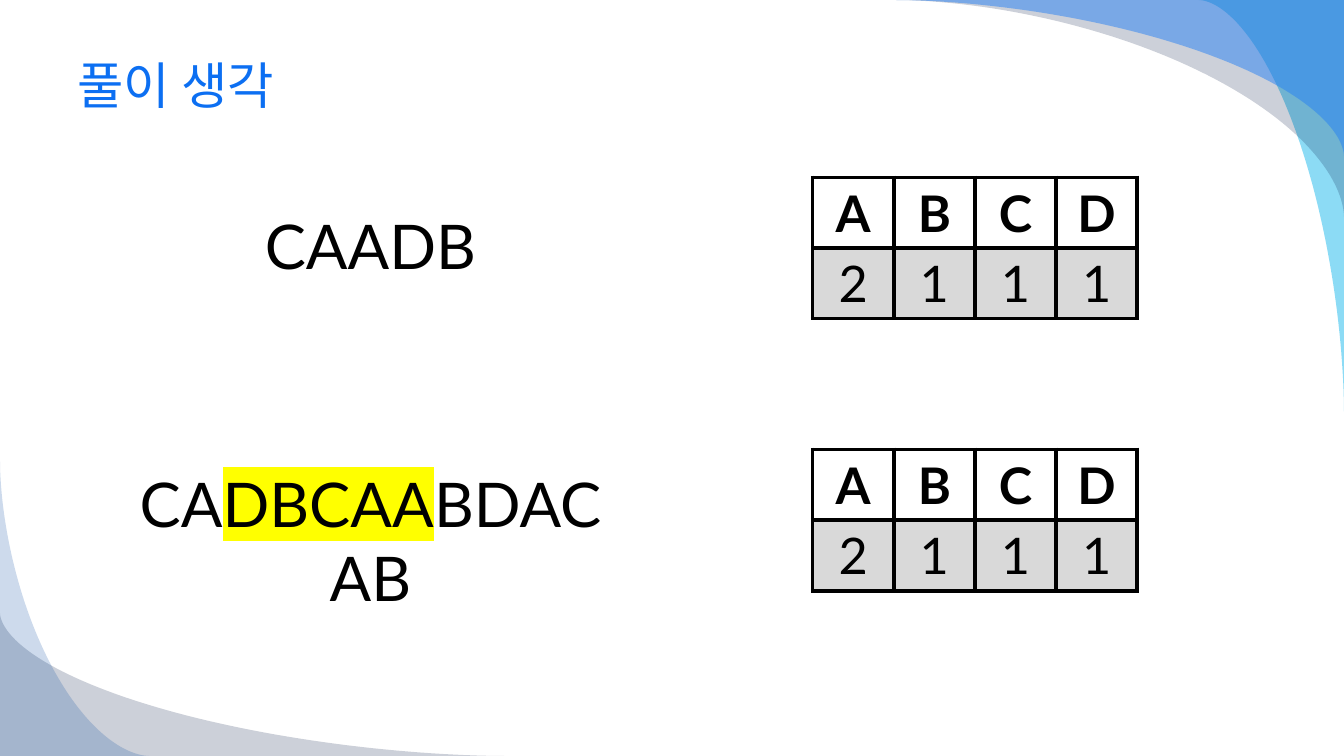
import math

import lxml.etree
import pptx
import pptx.dml.color
import pptx.enum.text
import pptx.oxml.ns
import pptx.util

Inches, Pt = pptx.util.Inches, pptx.util.Pt
ANCHOR = pptx.enum.text.MSO_ANCHOR
ALIGN = pptx.enum.text.PP_ALIGN
qn = pptx.oxml.ns.qn
FONT = "Lato"


def rgb(value):
    """Return the colour of a hex string."""
    return pptx.dml.color.RGBColor.from_string(value)


def add_color(parent, value):
    """Append a colour element to an XML parent and return it."""
    return lxml.etree.SubElement(parent, qn("a:srgbClr"), val=value)


def set_font(p, size, color, bold=False):
    """Set the font of a whole paragraph."""
    p.font.name, p.font.size, p.font.bold = FONT, Pt(size), bold
    p.font.color.rgb = rgb(color)


def add_swoosh(s, corner, arms, color, opacity):
    """Fill a slide corner up to a superelliptic curve between its two arms."""
    (x, y), (dx, dy) = corner, arms
    steps, power = 60, 2 / 1.76
    points = [corner]
    for i in range(steps + 1):
        angle = math.pi / 2 * i / steps
        points.append((x + dx * (1 - abs(math.cos(angle)) ** power),
                       y + dy * (1 - math.sin(angle) ** power)))
    points = [(Inches(px), Inches(py)) for px, py in points]
    builder = s.shapes.build_freeform(*points[0])
    builder.add_line_segments(points[1:])
    sp = builder.convert_to_shape()
    sp.shadow.inherit = False
    sp.line.fill.background()
    sp.fill.solid()
    sp.fill.fore_color.rgb = rgb(color)
    clr = sp.fill._xPr.find(qn("a:solidFill"))[0]
    lxml.etree.SubElement(clr, qn("a:alpha"), val=str(opacity * 1000))


def add_text_box(s, left, top, width, height):
    """Add a wrapping text box and return its text frame."""
    box = s.shapes.add_textbox(Inches(left), Inches(top), Inches(width), Inches(height))
    box.text_frame.word_wrap = True
    return box.text_frame


def add_title(s, text):
    """Add the slide title."""
    tf = add_text_box(s, 0.67, 0.33, 12, 1.01)
    tf.vertical_anchor = ANCHOR.MIDDLE
    tf.text = text
    set_font(tf.paragraphs[0], 36, "0C6FF2")


def add_strings(s, strings):
    """Add the DNA strings, each a list of (text, highlight) runs."""
    tf = add_text_box(s, 1.28, 1.48, 4.79, 5.22)
    tf.margin_top = Inches(0.58)
    for i, runs in enumerate(strings):
        p = tf.add_paragraph() if i else tf.paragraphs[0]
        p.alignment = ALIGN.CENTER
        p.space_before = Pt(132 if i else 0)
        set_font(p, 44, "000000")
        for text, highlight in runs:
            r = p.add_run()
            r.text = text
            if highlight:
                mark = lxml.etree.SubElement(r.font._element, qn("a:highlight"))
                add_color(mark, highlight)


def set_borders(cell, color, width):
    """Draw all four borders of a table cell."""
    tc_pr = cell._tc.get_or_add_tcPr()
    for i, side in enumerate("LRTB"):
        ln = lxml.etree.Element(qn("a:ln" + side), w=str(Pt(width)))
        add_color(lxml.etree.SubElement(ln, qn("a:solidFill")), color)
        tc_pr.insert(i, ln)


def add_count_table(s, top, counts):
    """Add a table of letters over their counts."""
    rows = [list(counts), list(counts.values())]
    col_width, row_height = 0.805, 0.7
    table = s.shapes.add_table(
        len(rows), len(counts), Inches(8.06), Inches(top),
        Inches(col_width * len(counts)), Inches(row_height * len(rows))).table
    table.horz_banding = table.first_row = False
    for column in table.columns:
        column.width = Inches(col_width)
    for i, values in enumerate(rows):
        table.rows[i].height = Inches(row_height)
        for j, value in enumerate(values):
            cell = table.cell(i, j)
            cell.text = str(value)
            cell.vertical_anchor = ANCHOR.MIDDLE
            cell.fill.solid()
            cell.fill.fore_color.rgb = rgb("D9D9D9" if i else "FFFFFF")
            set_borders(cell, "000000", 3)
            p = cell.text_frame.paragraphs[0]
            p.alignment = ALIGN.CENTER
            set_font(p, 36, "000000", bold=i == 0)


def main():
    """Build and save the slide."""
    prs = pptx.Presentation()
    prs.slide_width, prs.slide_height = Inches(13.33), Inches(7.5)
    s = prs.slides.add_slide(prs.slide_layouts[6])
    top_right, bottom_left = (13.33, 0), (0, 7.5)
    add_swoosh(s, top_right, (-1.44, 4.08), "00B1E9", 45)
    add_swoosh(s, top_right, (-4.44, 2.15), "021741", 20)
    add_swoosh(s, top_right, (-4.44, 1.55), "247FF4", 49)
    add_swoosh(s, bottom_left, (5, -1.42), "021741", 20)
    add_swoosh(s, bottom_left, (1.48, -2.92), "084AA1", 20)
    add_title(s, "풀이 생각")
    add_strings(s, [
        [("CAADB", None)],
        [("CA", None), ("DBCAA", "FFFF00"), ("BDACAB", None)],
    ])
    for top in (1.76, 4.46):
        add_count_table(s, top, {"A": 2, "B": 1, "C": 1, "D": 1})
    prs.save("out.pptx")


if __name__ == "__main__":
    main()
